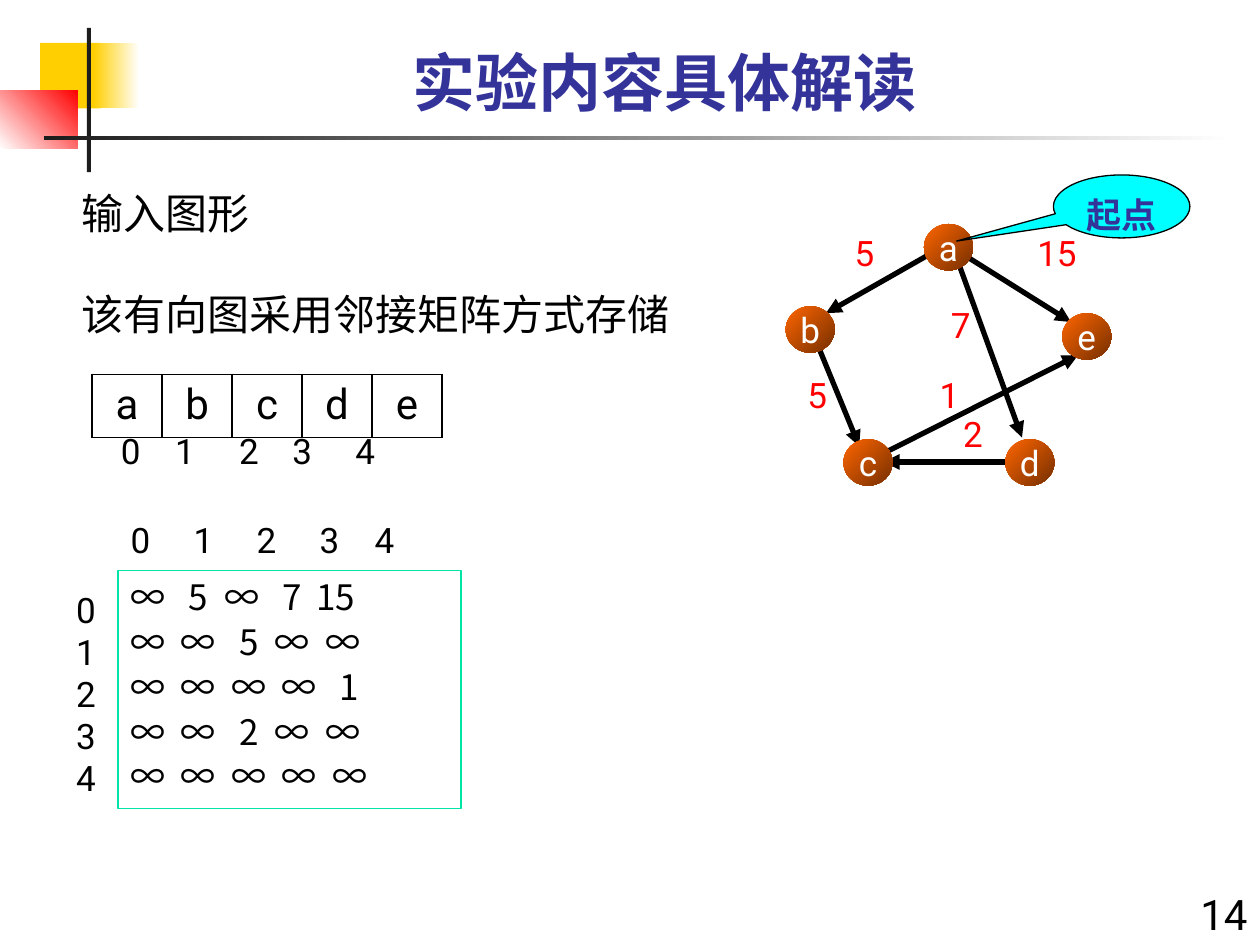
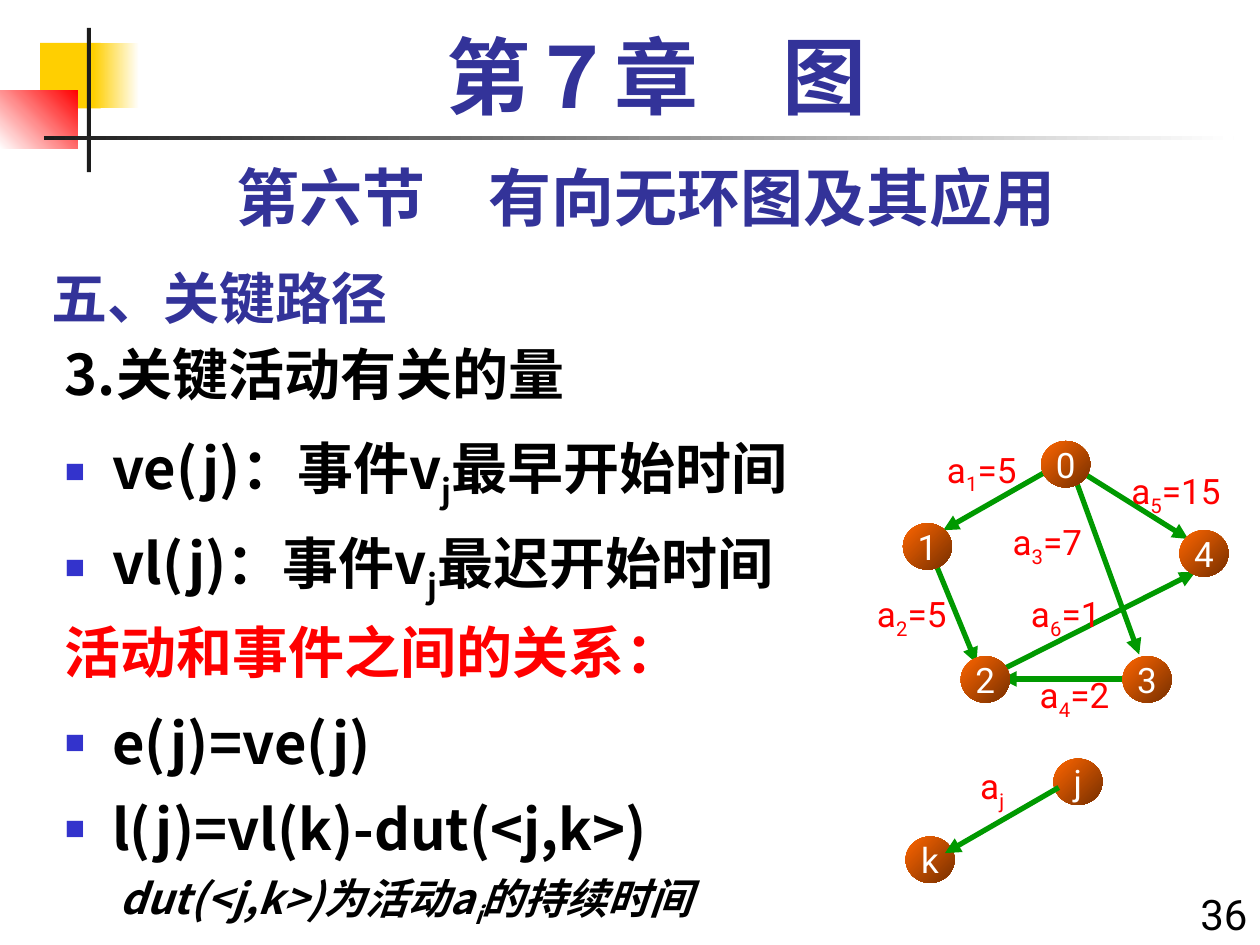
from dataclasses import dataclass, field
from typing import NamedTuple

from lxml import etree
from pptx import Presentation
from pptx.dml.color import RGBColor
from pptx.enum.shapes import MSO_CONNECTOR, MSO_SHAPE
from pptx.enum.text import MSO_ANCHOR, PP_ALIGN
from pptx.oxml.ns import qn
from pptx.util import Pt

LEFT, CENTER, RIGHT = PP_ALIGN.LEFT, PP_ALIGN.CENTER, PP_ALIGN.RIGHT
TOP, MIDDLE, BOTTOM = MSO_ANCHOR.TOP, MSO_ANCHOR.MIDDLE, MSO_ANCHOR.BOTTOM
RECT, OVAL = MSO_SHAPE.RECTANGLE, MSO_SHAPE.OVAL
CALLOUT, STRAIGHT = MSO_SHAPE.OVAL_CALLOUT, MSO_CONNECTOR.STRAIGHT


@dataclass(frozen=True)
class Theme:
    ink: str = "000000"
    white: str = "FFFFFF"
    heading: str = "333399"
    bullet: str = "3333CC"
    alert: str = "FF0000"
    gold: str = "FFCF01"
    bar: str = "1C1C1C"
    node_light: str = "FF6600"
    node_dark: str = "762F00"
    green: str = "009900"
    cyan: str = "00FFFF"
    mint: str = "00E4A8"
    small: int = 20
    text: int = 24
    body: int = 32
    title: int = 36
    chapter: int = 48
    latin: str = "Roboto"
    cjk: str = "Noto Sans CJK SC"
    serif: str = "Times New Roman"


THEME = Theme()


class Box(NamedTuple):
    left: float
    top: float
    width: float
    height: float


class Band(NamedTuple):
    box: Box
    colors: tuple[str, ...]
    angle: int = 0


class Edge(NamedTuple):
    start: tuple[float, float]
    end: tuple[float, float]


class Label(NamedTuple):
    text: str
    box: Box


@dataclass(frozen=True)
class Line:
    text: str
    size: int = THEME.small
    color: str = THEME.ink
    font: str = THEME.latin
    align: PP_ALIGN = LEFT
    bold: bool = False
    italic: bool = False
    before: float = 0
    leading: float = 0
    bullet: bool = False
    margin: float = 0
    tabs: list[float] = field(default_factory=list)
    tab_align: str = "l"


BANDS = [
    Band(Box(23, 24.5, 34.5, 37.5), (THEME.gold,)),
    Band(Box(53.5, 24.5, 26, 37.5), (THEME.gold, THEME.white)),
    Band(Box(0, 51.5, 44.5, 33.5), (THEME.white, THEME.alert), 45),
    Band(Box(49.7, 16, 2.3, 82.5), (THEME.bar,)),
    Band(Box(25, 77.8, 680, 2.4), (THEME.bar, THEME.white)),
]
NODE_SIZE = (28, 26.5)
NODE_SPOTS = [(528, 128), (449, 175), (482, 251), (574.5, 251), (607, 179)]
EDGES = [
    Edge((553, 147), (612, 184)),
    Edge((468, 199), (491, 255)),
    Edge((537, 142), (472, 179)),
    Edge((546.5, 147), (584, 250)),
    Edge((574.5, 264), (505, 264)),
    Edge((505, 259), (616, 203)),
]
INFINITY = "∞"
MATRIX = ["∞ 5 ∞ 7 15", "∞ ∞ 5 ∞ ∞", "∞ ∞ ∞ ∞ 1", "∞ ∞ 2 ∞ ∞", "∞ ∞ ∞ ∞ ∞"]


def rgb(color: str) -> RGBColor:
    return RGBColor.from_string(color)


def add_child(parent, tag: str, **attributes: str):
    return etree.SubElement(parent, qn(tag), attributes)


def write_line(paragraph, line: Line) -> None:
    for position, chunk in enumerate(line.text.split("_")):
        if position:
            subscript = paragraph.add_run()
            subscript.text = chunk[0]
            subscript._r.get_or_add_rPr().set("baseline", "-25000")
            chunk = chunk[1:]
        if chunk:
            paragraph.add_run().text = chunk
    properties = paragraph._p.get_or_add_pPr()
    if line.margin:
        properties.set("marL", str(Pt(line.margin)))
        properties.set("indent", str(Pt(-line.margin if line.bullet else 0)))
    if line.bullet:
        color = add_child(properties, "a:buClr")
        add_child(color, "a:srgbClr", val=THEME.bullet)
        add_child(properties, "a:buSzPct", val="60000")
        add_child(properties, "a:buFont", typeface=THEME.serif)
        add_child(properties, "a:buChar", char="■")
    if line.tabs:
        stops = add_child(properties, "a:tabLst")
        for stop in line.tabs:
            add_child(stops, "a:tab", pos=str(Pt(stop)), algn=line.tab_align)
    paragraph.alignment = line.align
    paragraph.space_before = Pt(line.before)
    if line.leading:
        paragraph.line_spacing = Pt(round(1.2 * line.size * line.leading, 1))
    font = paragraph.font
    font.size, font.name = Pt(line.size), line.font
    font.bold, font.italic = line.bold, line.italic
    font.color.rgb = rgb(line.color)
    add_child(properties.find(qn("a:defRPr")), "a:ea", typeface=THEME.cjk)


def write_lines(shape, lines: list[Line], anchor: MSO_ANCHOR = TOP,
                side: float = 7.2, wrap: bool = True) -> None:
    frame = shape.text_frame
    frame.word_wrap, frame.vertical_anchor = wrap, anchor
    drop = 0.09 * lines[0].size if lines[0].leading else 0
    frame.margin_left = frame.margin_right = Pt(side)
    frame.margin_top, frame.margin_bottom = Pt(3.6 + drop), Pt(3.6 - drop)
    for position, line in enumerate(lines):
        write_line(frame.add_paragraph() if position else frame.paragraphs[0], line)


def add_text(slide, box: Box, lines: list[Line], anchor: MSO_ANCHOR = TOP,
             side: float = 7.2, wrap: bool = True) -> None:
    write_lines(slide.shapes.add_textbox(*map(Pt, box)), lines, anchor, side, wrap)


def add_figure(slide, kind: MSO_SHAPE, box: Box, colors: tuple[str, ...] = (),
               angle: int = 0, outline: str = ""):
    shape = slide.shapes.add_shape(kind, *map(Pt, box))
    shape.shadow.inherit = False
    if len(colors) > 1:
        shape.fill.gradient()
        shape.fill.gradient_angle = angle
        for stop, color in zip(shape.fill.gradient_stops, colors):
            stop.color.rgb = rgb(color)
    elif colors:
        shape.fill.solid()
        shape.fill.fore_color.rgb = rgb(colors[0])
    else:
        shape.fill.background()
    if outline:
        shape.line.color.rgb = rgb(outline)
        shape.line.width = Pt(0.75)
    else:
        shape.line.fill.background()
    return shape


def add_edge(slide, edge: Edge, color: str) -> None:
    arrow = slide.shapes.add_connector(STRAIGHT, *map(Pt, edge.start + edge.end))
    arrow.line.color.rgb = rgb(color)
    arrow.line.width = Pt(3)
    properties = arrow._element.spPr
    add_child(properties.find(qn("a:ln")), "a:tailEnd", type="triangle")
    add_child(properties, "a:effectLst")


def add_node(slide, name: str, left: float, top: float) -> None:
    node = add_figure(slide, OVAL, Box(left, top, *NODE_SIZE),
                      (THEME.node_light, THEME.node_dark), 315)
    write_lines(node, [Line(name, color=THEME.white, align=CENTER)], MIDDLE, 0, False)


def add_label(slide, label: Label) -> None:
    add_text(slide, label.box, [Line(label.text, color=THEME.alert, align=CENTER)], side=0)


def add_graph(slide, names: str, labels: list[Label], color: str,
              dx: float = 0, dy: float = 0) -> None:
    for (x1, y1), (x2, y2) in EDGES:
        add_edge(slide, Edge((x1 + dx, y1 + dy), (x2 + dx, y2 + dy)), color)
    for name, (left, top) in zip(names, NODE_SPOTS):
        add_node(slide, name, left + dx, top + dy)
    for label in labels:
        add_label(slide, label)


def add_vertex_table(slide, names: str) -> None:
    frame = slide.shapes.add_table(1, len(names), Pt(52.6), Pt(214), Pt(200), Pt(29.5))
    table = frame.table
    table.first_row = table.horz_banding = False
    for column, name in enumerate(names):
        table.columns[column].width = Pt(40)
        cell = table.cell(0, column)
        borders = cell._tc.get_or_add_tcPr()
        for side in ("L", "R", "T", "B"):
            border = add_child(borders, f"a:ln{side}", w=str(Pt(1)))
            add_child(add_child(border, "a:solidFill"), "a:srgbClr", val=THEME.ink)
        cell.fill.background()
        write_line(cell.text_frame.paragraphs[0], Line(name, THEME.text, align=CENTER))


def matrix_line(row: str, before: float) -> Line:
    cells = row.split()
    stops = [10 + 28.8 * column - 4 * sum(cell != INFINITY for cell in cells[:column])
             for column in range(1, len(cells))]
    return Line("\t".join(cells), font=THEME.cjk, before=before, leading=0.9,
                tabs=stops, tab_align="ctr")


def start_slide(deck, page: str):
    slide = deck.slides.add_slide(deck.slide_layouts[6])
    for band in BANDS:
        add_figure(slide, RECT, band.box, band.colors, band.angle)
    add_text(slide, Box(642, 504, 78, 36), [Line(page, THEME.text, align=RIGHT)])
    return slide


def heading(text: str, size: int = THEME.title, align: PP_ALIGN = CENTER,
            font: str = THEME.latin, leading: float = 1) -> list[Line]:
    return [Line(text, size, THEME.heading, font, align, bold=True, leading=leading)]


def build_storage_slide(deck) -> None:
    slide = start_slide(deck, "14")
    add_text(slide, Box(70, 14.5, 620, 54), heading("实验内容具体解读"), BOTTOM)
    add_text(slide, Box(39.6, 101.5, 366, 94), [
        Line("输入图形", THEME.text, font=THEME.cjk, leading=1),
        Line("该有向图采用邻接矩阵方式存储", THEME.text, font=THEME.cjk,
             before=28.8, leading=1),
    ])
    weights = [("5", 476.5, 129), ("5", 449.5, 210), ("15", 576.5, 129),
               ("1", 525, 210), ("7", 531.5, 170), ("2", 538.5, 232)]
    labels = [Label(weight, Box(left, top, 35 if len(weight) == 1 else 55, 31))
              for weight, left, top in weights]
    add_graph(slide, "abcde", labels, THEME.ink)
    start_mark = add_figure(slide, CALLOUT, Box(602, 100, 78, 36), (THEME.cyan,),
                            outline=THEME.ink)
    start_mark.adjustments[0], start_mark.adjustments[1] = -1.21, 0.55
    write_lines(start_mark, heading("起点", THEME.small, font=THEME.cjk), wrap=False)

    indices = [str(number) for number in range(5)]
    add_text(slide, Box(62, 242, 220, 31.5),
             [Line("\t".join(indices), tabs=[31, 67.5, 98, 134])])
    matrix = add_figure(slide, RECT, Box(67.5, 326, 196, 136), outline=THEME.mint)
    write_lines(matrix, [matrix_line(row, 4 if position else 0)
                         for position, row in enumerate(MATRIX)])
    add_text(slide, Box(67.5, 292.5, 220, 31.5),
             [Line("\t".join(indices), tabs=[36, 72, 108, 139.5])])
    add_text(slide, Box(36.5, 332.5, 25.5, 128), [Line(index) for index in indices],
             wrap=False)
    add_vertex_table(slide, "abcde")


def body_line(text: str, before: float, bullet: bool = False,
              color: str = THEME.ink) -> Line:
    return Line(text, THEME.body, color, THEME.cjk, bold=True, before=before,
                leading=0.9, bullet=bullet, margin=27 if bullet else 0)


def build_critical_path_slide(deck) -> None:
    slide = start_slide(deck, "36")
    add_text(slide, Box(22.5, 135.5, 684, 54),
             heading("五、关键路径", THEME.body, LEFT, THEME.cjk), BOTTOM)
    add_text(slide, Box(36, 84, 666, 50.5), heading("第六节　有向无环图及其应用"))
    add_text(slide, Box(30, 191.5, 690, 318), [
        body_line("3.关键活动有关的量", 0),
        body_line("ve(j)：事件v_j最早开始时间", 24, True),
        body_line("vl(j)：事件v_j最迟开始时间", 20, True),
        body_line("活动和事件之间的关系：", 11, color=THEME.alert),
        body_line("e(j)=ve(j)", 17, True),
        body_line("l(j)=vl(k)-dut(<j,k>)", 15, True),
        Line("dut(<j,k>)为活动a_i的持续时间", THEME.text, font=THEME.cjk, bold=True,
             italic=True, before=12.5, leading=0.9, margin=31),
    ])
    add_text(slide, Box(48, 12, 654, 60),
             heading("第７章　图", THEME.chapter, font=THEME.serif, leading=0.9))
    activities = [("a_1=5", 528, 252.5, 66), ("a_2=5", 492, 335, 58),
                  ("a_5=15", 642, 265, 60), ("a_6=1", 576, 335, 66),
                  ("a_3=7", 564, 294, 69), ("a_4=2", 582, 381.5, 64)]
    labels = [Label(text, Box(left, top, width, 31))
              for text, left, top, width in activities]
    add_graph(slide, "01234", labels, THEME.green, 67, 124)
    add_node(slide, "k", 517.5, 478)
    add_node(slide, "j", 602, 433.5)
    add_edge(slide, Edge((605, 450), (540, 487.5)), THEME.green)
    add_label(slide, Label("a_j", Box(534, 433.5, 66, 31)))


def main() -> None:
    deck = Presentation()
    deck.slide_width, deck.slide_height = Pt(720), Pt(540)
    build_storage_slide(deck)
    build_critical_path_slide(deck)
    deck.save("out.pptx")


if __name__ == "__main__":
    main()
